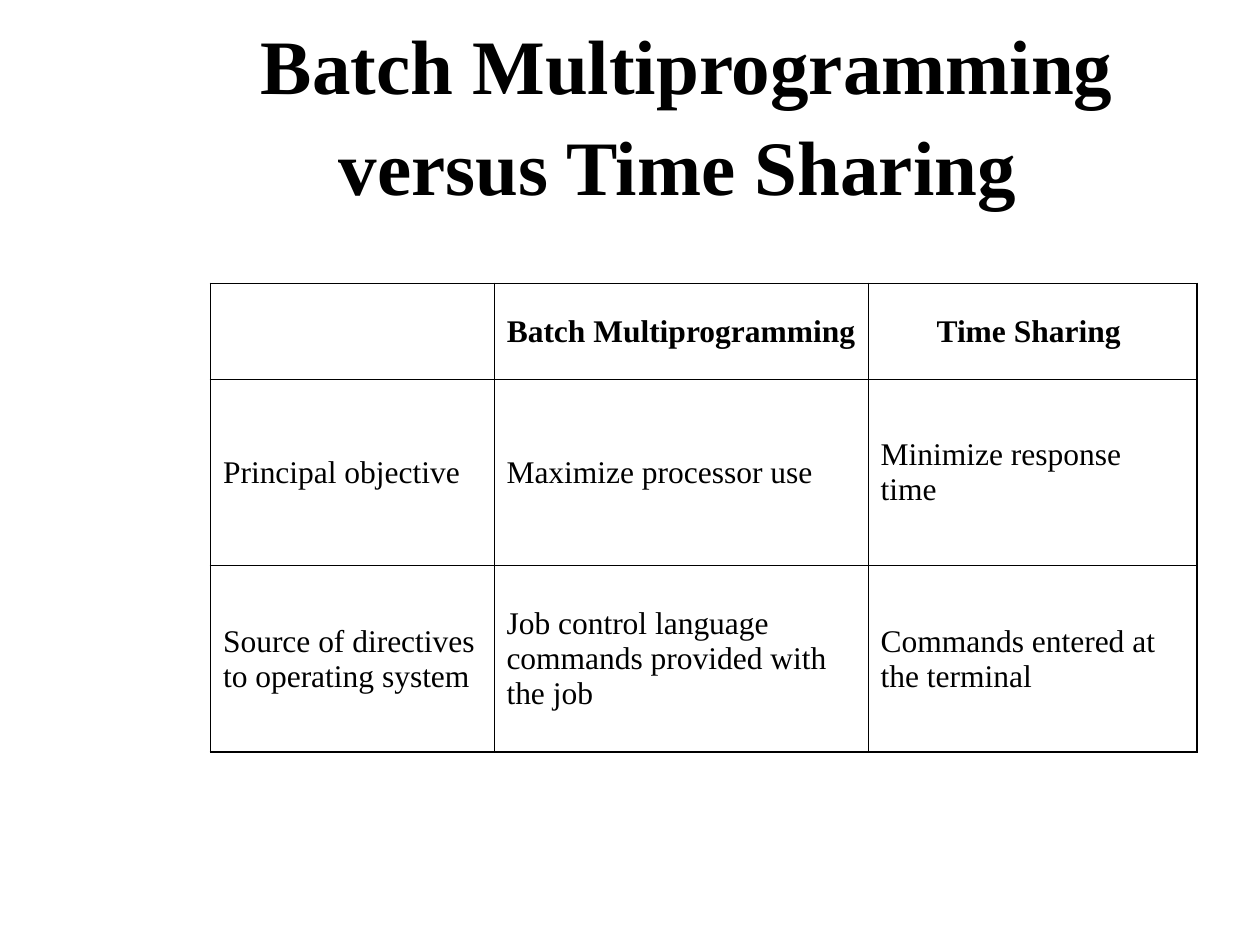
"""Build a slide that compares batch multiprogramming with time sharing."""
from lxml import etree
from pptx import Presentation, util as u
from pptx.dml.color import RGBColor
from pptx.enum import text as t
from pptx.oxml.ns import qn

TITLE = "Batch Multiprogramming versus Time Sharing "
ROWS = [
    ("", "Batch Multiprogramming ", "Time Sharing "),
    ("Principal objective", "Maximize processor use", "Minimize response time"),
    ("Source of directives to operating system",
     "Job control language commands provided with the job",
     "Commands entered at the terminal"),
]
WIDTHS = [2.25, 2.97, 2.61]
HEIGHTS = [0.76, 1.48, 1.48]
LEFT, TOP = 1.67, 2.25
FONT, INK = "Times New Roman", "000000"
THIN, THICK = 0.45, 1.08


def write(frame, words, size=18, bold=False, center=False, before=0, line=None):
    par = frame.paragraphs[0]
    par.alignment = t.PP_ALIGN.CENTER if center else t.PP_ALIGN.LEFT
    par.space_before = u.Pt(before)
    par.line_spacing = line
    run = par.add_run()
    run.text = words
    font = run.font
    font.name, font.size, font.bold = FONT, u.Pt(size), bold
    font.color.rgb = RGBColor.from_string(INK)


def border(cell, sides):
    props = cell._tc.get_or_add_tcPr()
    for spot, (side, outer) in enumerate(sides.items()):
        edge = etree.Element(qn(f"a:ln{side}"), w=str(u.Pt(THICK if outer else THIN)))
        fill = etree.SubElement(edge, qn("a:solidFill"))
        etree.SubElement(fill, qn("a:srgbClr"), val=INK)
        props.insert(spot, edge)


def add_title(slide):
    title = slide.shapes.title
    title.left, title.top = u.Inches(1.58), u.Inches(0.25)
    title.width, title.height = u.Inches(7.75), u.Inches(1.25)
    frame = title.text_frame
    frame.auto_size = t.MSO_AUTO_SIZE.NONE
    frame.vertical_anchor = t.MSO_ANCHOR.MIDDLE
    write(frame, TITLE, size=44, bold=True, center=True, line=1.09)


def add_grid(slide):
    box = [u.Inches(n) for n in (LEFT, TOP, sum(WIDTHS), sum(HEIGHTS))]
    grid = slide.shapes.add_table(len(ROWS), len(WIDTHS), *box).table
    grid.horz_banding = grid.first_row = False
    for col, width in zip(grid.columns, WIDTHS):
        col.width = u.Inches(width)
    for row, height in zip(grid.rows, HEIGHTS):
        row.height = u.Inches(height)
    for i, row in enumerate(ROWS):
        for j, words in enumerate(row):
            cell = grid.cell(i, j)
            cell.fill.background()
            cell.vertical_anchor = t.MSO_ANCHOR.MIDDLE
            border(cell, {"L": j == 0, "R": j == len(row) - 1,
                          "T": i == 0, "B": i == len(ROWS) - 1})
            if words:
                write(cell.text_frame, words, bold=i == 0, center=i == 0)


def main():
    deck = Presentation()
    deck.slide_width, deck.slide_height = u.Inches(10), u.Inches(7.5)
    slide = deck.slides.add_slide(deck.slide_layouts[5])
    add_title(slide)
    add_grid(slide)
    deck.save("out.pptx")


if __name__ == "__main__":
    main()
